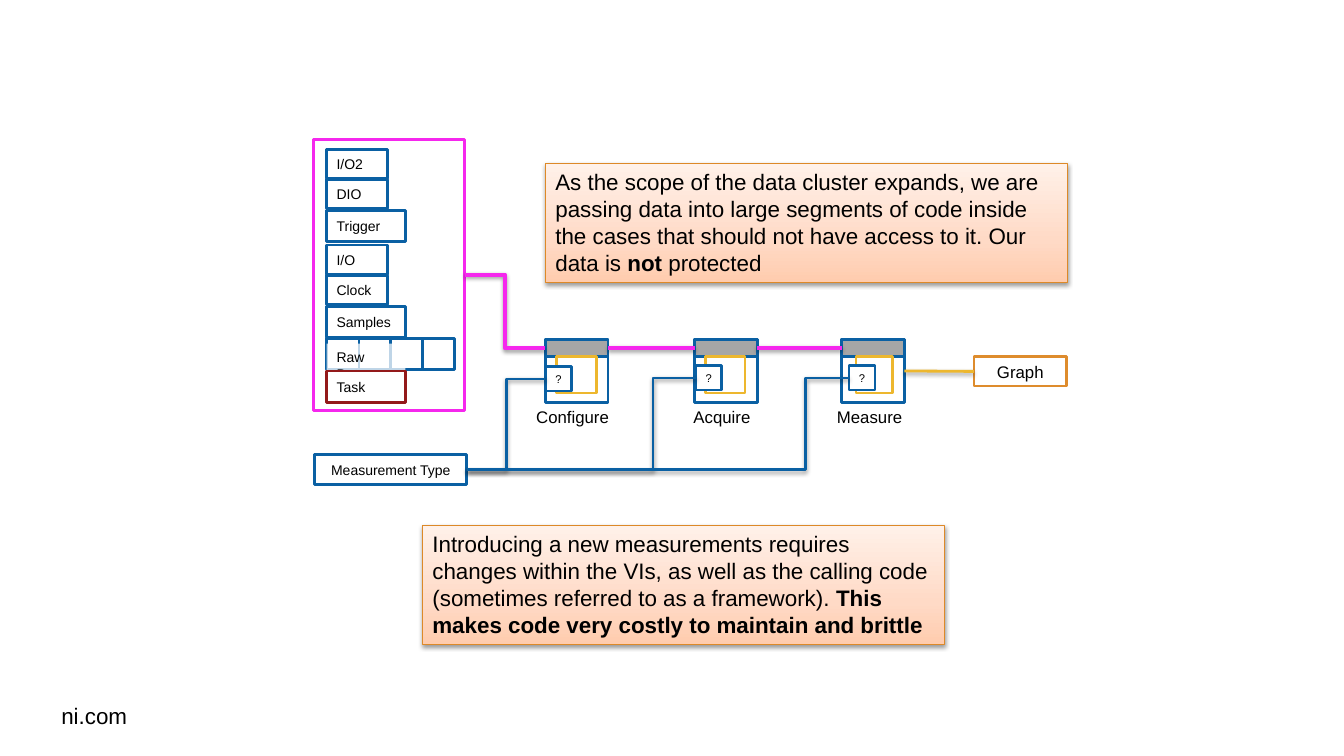
from copy import deepcopy

from lxml.etree import SubElement
from pptx import Presentation
from pptx.dml.color import RGBColor
from pptx.enum.shapes import MSO_CONNECTOR as Wire, MSO_SHAPE as Preset
from pptx.enum.text import MSO_ANCHOR as Anchor, MSO_AUTO_SIZE as Fit, PP_ALIGN as Align
from pptx.oxml.ns import qn
from pptx.util import Pt

PX = 9144
BLUE, PINK, ORANGE, YELLOW, RED = "0A60A3", "F527ED", "DE8C2D", "EDB72E", "93191A"
PEACH = [(0, "FFCCAE"), (0.35, "FFDAC6"), (1, "FFF1E9")]


def color(value):
    return RGBColor.from_string(value)


def write(shape, *spans, size=10, align=Align.LEFT, anchor=Anchor.MIDDLE, wrap=True, grow=False):
    frame = shape.text_frame
    frame.word_wrap = wrap
    frame.auto_size = Fit.SHAPE_TO_FIT_TEXT if grow else Fit.NONE
    frame.vertical_anchor = anchor
    para = frame.paragraphs[0]
    para.alignment = align
    for text, bold in spans:
        span = para.add_run()
        span.text = text
        span.font.name = "Arial"
        span.font.size = Pt(size)
        span.font.bold = bold
        span.font.color.rgb = color("000000")


def add_shadow(effects):
    shadow = SubElement(effects, qn("a:outerShdw"), blurRad="40000", dist="20000",
                        dir="5400000", rotWithShape="0")
    tint = SubElement(shadow, qn("a:srgbClr"), val="000000")
    SubElement(tint, qn("a:alpha"), val="38000")


class Diagram:
    """Draws styled boxes, labels, notes and wires on one slide."""

    def __init__(self, deck):
        self.shapes = deck.slides.add_slide(deck.slide_layouts[6]).shapes

    def box(self, left, top, width, height, line=BLUE, fill="FFFFFF", weight=2, alpha=None):
        box = self.shapes.add_shape(Preset.RECTANGLE, *(n * PX for n in (left, top, width, height)))
        box.shadow.inherit = False
        if fill:
            box.fill.solid()
            box.fill.fore_color.rgb = color(fill)
        else:
            box.fill.background()
        if alpha:
            tint = box._element.spPr.find(qn("a:solidFill")).find(qn("a:srgbClr"))
            SubElement(tint, qn("a:alpha"), val=str(alpha * 1000))
        if line:
            box.line.color.rgb = color(line)
            box.line.width = Pt(weight)
        else:
            box.line.fill.background()
        return box

    def label(self, left, top, width, height, text, size, align=Align.LEFT):
        label = self.shapes.add_textbox(*(n * PX for n in (left, top, width, height)))
        write(label, (text, False), size=size, align=align, anchor=Anchor.TOP, wrap=False, grow=True)

    def note(self, left, top, *spans):
        note = self.box(left, top, 518, 118, "DD8928", weight=0.75)
        note.fill.gradient()
        note.fill.gradient_angle = 90
        properties = note._element.spPr
        stops = properties.find(qn("a:gradFill")).find(qn("a:gsLst"))
        stops.insert(1, deepcopy(stops[0]))
        for stop, (position, tint) in zip(note.fill.gradient_stops, PEACH):
            stop.position = position
            stop.color.rgb = color(tint)
        add_shadow(properties.find(qn("a:effectLst")))
        write(note, *spans, size=16, anchor=Anchor.TOP, grow=True)

    def wire(self, source, target, line, weight=2, bend=None):
        kind = Wire.ELBOW if bend else Wire.STRAIGHT
        wire = self.shapes.add_connector(kind, 0, 0, 0, 0)
        wire.begin_connect(source, 3)
        wire.end_connect(target, 1)
        wire.line.color.rgb = color(line)
        wire.line.width = Pt(weight)
        properties = wire._element.spPr
        if bend:
            guides = properties.find(qn("a:prstGeom")).find(qn("a:avLst"))
            SubElement(guides, qn("a:gd"), name="adj1", fmla=f"val {bend}")
        add_shadow(SubElement(properties, qn("a:effectLst")))


def main():
    deck = Presentation()
    deck.slide_width, deck.slide_height = 1333 * PX, 750 * PX
    diagram = Diagram(deck)
    diagram.label(51, 692, 86, 37, "ni.com", 16)

    bodies, headers = [], []
    for left, name, label_left, label_width, align in [
        (541, "Configure", 522, 93, Align.LEFT),
        (689, "Acquire", 678, 77, Align.LEFT),
        (835, "Measure", 819, 87, Align.CENTER),
    ]:
        bodies.append(diagram.box(left, 337, 62, 62))
        headers.append(diagram.box(left, 337, 62, 17, fill="A6A6A6"))
        diagram.label(label_left, 399, label_width, 30, name, 12, align)
    for source, target in zip(headers, headers[1:]):
        diagram.wire(source, target, PINK, 3)

    graph = diagram.box(966, 354, 92, 29, ORANGE)
    write(graph, ("Graph", False), size=12, align=Align.CENTER)
    diagram.wire(bodies[-1], graph, YELLOW)
    for left, width in [(552, 40), (700, 39), (849, 36)]:
        diagram.box(left, 354, width, 36, YELLOW, fill=None)

    cluster = diagram.box(311, 138, 150, 269, PINK)
    diagram.wire(cluster, headers[0], PINK, 3, bend=50000)
    for top, names in [(148, ("I/O2", "DIO", "Trigger")), (243, ("I/O", "Clock", "Samples"))]:
        for name, offset, width, height in zip(names, (0, 30, 61), (60, 60, 78), (29, 29, 31)):
            write(diagram.box(324, top + offset, width, height), (name, False))
    for column in range(4):
        diagram.box(324 + round(31.7 * column), 336, 32, 31)
    raw = diagram.box(324, 341, 78, 44, line=None, alpha=74)
    write(raw, ("Raw Data", False), anchor=Anchor.TOP, grow=True)
    write(diagram.box(324, 368, 78, 31, RED), ("Task", False))

    measurement = diagram.box(312, 451, 151, 30)
    write(measurement, ("Measurement Type", False), align=Align.CENTER)
    for left, top, bend in [(541, 364, 50000), (690, 363, 81400), (842, 363, 88600)]:
        selector = diagram.box(left, top, 26, 24)
        write(selector, ("?", False), size=8, anchor=Anchor.TOP, wrap=False, grow=True)
        diagram.wire(measurement, selector, BLUE, bend=bend)

    diagram.note(
        541, 162,
        ("As the scope of the data cluster expands, we are passing data into large segments of code "
         "inside the cases that should not have access to it. Our data is ", False),
        ("not", True),
        (" protected", False),
    )
    diagram.note(
        419, 521,
        ("Introducing a new measurements requires changes within the VIs, as well as the calling code "
         "(sometimes referred to as a framework). ", False),
        ("This makes code very costly to maintain and brittle", True),
    )
    deck.save("out.pptx")


if __name__ == "__main__":
    main()
